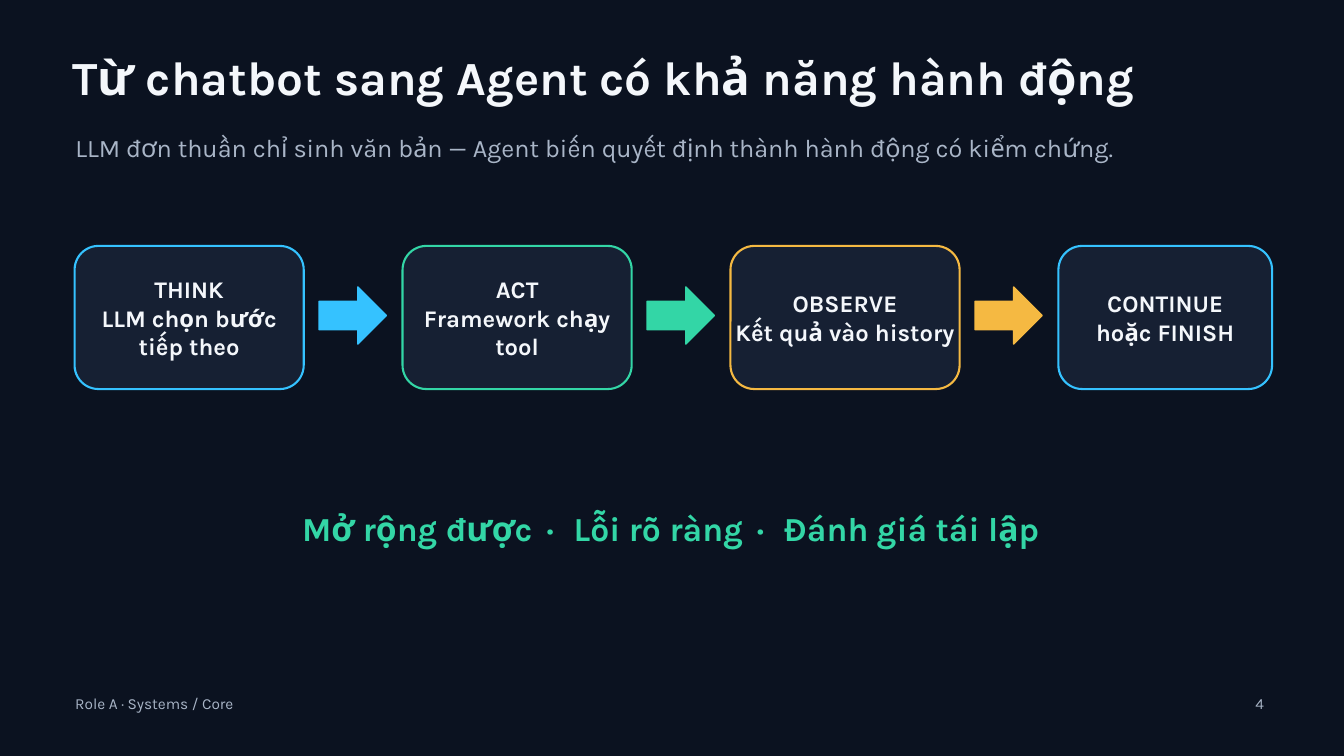
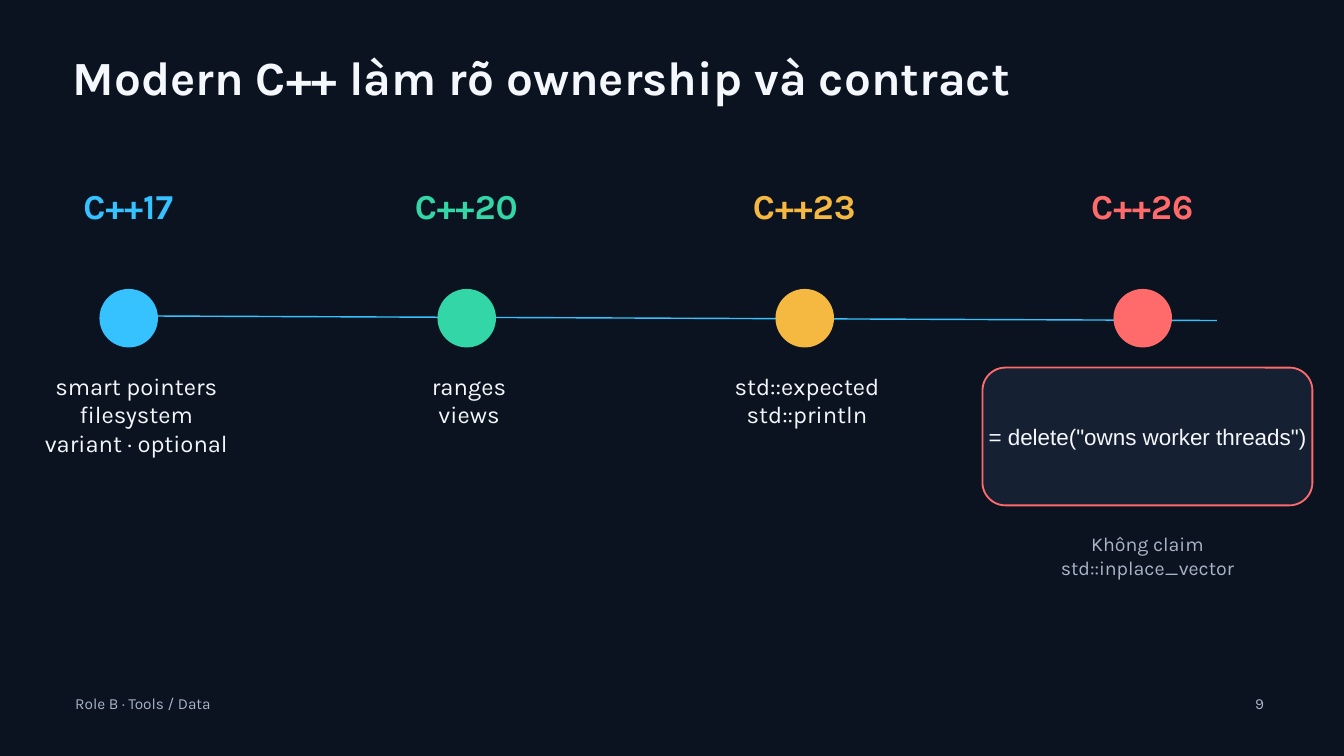
"""Build two slides on the agent loop and modern C++ milestones."""

import dataclasses

import lxml.etree
import pptx
import pptx.dml.color
import pptx.enum.shapes
import pptx.enum.text
import pptx.oxml.ns
import pptx.presentation
import pptx.shapes.autoshape
import pptx.slide
import pptx.util

Inches = pptx.util.Inches
Pt = pptx.util.Pt
Shape = pptx.enum.shapes.MSO_SHAPE
Align = pptx.enum.text.PP_ALIGN
Anchor = pptx.enum.text.MSO_ANCHOR

COLORS = {
    "background": "0B1220",
    "panel": "162033",
    "text": "F4F7FB",
    "muted": "A9B5C7",
    "blue": "35C2FF",
    "green": "33D6A6",
    "amber": "F5B942",
    "red": "FF6B6B",
}


@dataclasses.dataclass(frozen=True)
class Area:
    left: float
    top: float
    width: float
    height: float


@dataclasses.dataclass(frozen=True)
class TextStyle:
    size: float
    leading: float
    color: str = "text"
    bold: bool = False
    align: Align = Align.LEFT
    font: str = "Karla"


@dataclasses.dataclass(frozen=True)
class Step:
    lines: tuple[str, ...]
    color: str
    width: float = 3.41


@dataclasses.dataclass(frozen=True)
class Milestone:
    name: str
    color: str
    features: tuple[str, ...] = ()
    features_shift: float = -0.94


TITLE = TextStyle(51, 61.2, bold=True)
SUBTITLE = TextStyle(27, 32.4, "muted")
FOOTER = TextStyle(16.5, 19.8, "muted")
PAGE_NUMBER = dataclasses.replace(FOOTER, align=Align.RIGHT)
FEATURES = TextStyle(25.5, 30.6, align=Align.CENTER)
STEP = dataclasses.replace(FEATURES, bold=True)
BENEFITS = TextStyle(36, 43.2, "green", True, Align.CENTER)
MILESTONE = TextStyle(37.5, 45, bold=True, align=Align.CENTER)
CODE = TextStyle(24, 28.8, align=Align.CENTER, font="Arial")
NOTE = TextStyle(21, 25.2, "muted", align=Align.CENTER)

STEPS = (
    Step(("THINK", "LLM chọn bước tiếp theo"), "blue"),
    Step(("ACT", "Framework chạy tool"), "green"),
    Step(("OBSERVE", "Kết quả vào history"), "amber"),
    Step(("CONTINUE", "hoặc FINISH"), "blue", 3.18),
)
MILESTONES = (
    Milestone("C++17", "blue", ("smart pointers", "filesystem", "variant · optional"), -0.86),
    Milestone("C++20", "green", ("ranges", "views")),
    Milestone("C++23", "amber", ("std::expected", "std::println")),
    Milestone("C++26", "red"),
)
STEP_PITCH = 4.88
ARROW_GAP = 0.23
MILESTONE_PITCH = 5.03
SEPARATOR = " · "
SEPARATOR_SPACING = 600


def rgb(name: str) -> pptx.dml.color.RGBColor:
    """Return the named colour."""
    return pptx.dml.color.RGBColor.from_string(COLORS[name])


def place(area: Area) -> tuple[pptx.util.Length, ...]:
    """Turn an area into lengths."""
    return tuple(Inches(value) for value in dataclasses.astuple(area))


def add_text(
    slide: pptx.slide.Slide,
    area: Area,
    lines: tuple[tuple[str, ...], ...],
    style: TextStyle,
    inset: float = 0,
    centered: bool = False,
) -> pptx.shapes.autoshape.Shape:
    """Add a text box whose lines are tuples of runs."""
    box = slide.shapes.add_textbox(*place(area))
    frame = box.text_frame
    frame.word_wrap = True
    frame.margin_left = frame.margin_right = Inches(inset)
    frame.margin_top = frame.margin_bottom = Inches(inset)
    frame.vertical_anchor = Anchor.MIDDLE if centered else Anchor.TOP
    for index, runs in enumerate(lines):
        para = frame.add_paragraph() if index else frame.paragraphs[0]
        para.alignment = style.align
        para.line_spacing = Pt(style.leading)
        for text in runs:
            span = para.add_run()
            span.text = text
            span.font.name = style.font
            span.font.size = Pt(style.size)
            span.font.bold = style.bold
            span.font.color.rgb = rgb(style.color)
    return box


def add_solid(
    slide: pptx.slide.Slide,
    kind: Shape,
    area: Area,
    fill: str,
    line: str,
    weight: float = 1.5,
) -> None:
    """Add a filled and outlined preset shape."""
    shape = slide.shapes.add_shape(kind, *place(area))
    shape.shadow.inherit = False
    shape.fill.solid()
    shape.fill.fore_color.rgb = rgb(fill)
    shape.line.color.rgb = rgb(line)
    shape.line.width = Pt(weight)


def add_card(
    slide: pptx.slide.Slide,
    area: Area,
    lines: tuple[str, ...],
    style: TextStyle,
    color: str,
    weight: float,
) -> None:
    """Add a rounded panel with text across its full width."""
    add_solid(slide, Shape.ROUNDED_RECTANGLE, area, "panel", color, weight)
    add_text(slide, area, tuple((line,) for line in lines), style, 0.06, True)


def add_base(
    deck: pptx.presentation.Presentation, title: str, role: str, number: int
) -> pptx.slide.Slide:
    """Add a slide with the shared background, title and footer."""
    slide = deck.slides.add_slide(deck.slide_layouts[6])
    slide.background.fill.solid()
    slide.background.fill.fore_color.rgb = rgb("background")
    add_text(slide, Area(1.08, 0.72, 17.66, 1.04), ((title,),), TITLE)
    add_text(slide, Area(1.12, 10.33, 4.9, 0.35), ((role,),), FOOTER)
    add_text(slide, Area(18.26, 10.33, 0.55, 0.35), ((str(number),),), PAGE_NUMBER)
    return slide


def add_agent_slide(deck: pptx.presentation.Presentation) -> None:
    """Add the slide with the four steps of the agent loop."""
    slide = add_base(
        deck, "Từ chatbot sang Agent có khả năng hành động", "Role A · Systems / Core", 4
    )
    subtitle = "LLM đơn thuần chỉ sinh văn bản — Agent biến quyết định thành hành động có kiểm chứng."
    add_text(slide, Area(1.12, 1.97, 16.61, 0.62), ((subtitle,),), SUBTITLE)
    for index, step in enumerate(STEPS):
        left = 1.11 + index * STEP_PITCH
        card = Area(left, 3.66, step.width, 2.13)
        add_card(slide, card, step.lines, STEP, step.color, 2.25)
        if index < len(STEPS) - 1:
            arrow = Area(left + step.width + ARROW_GAP, 4.27, 1, 0.85)
            add_solid(slide, Shape.RIGHT_ARROW, arrow, step.color, step.color)
    benefits = ("Mở rộng được", SEPARATOR, "Lỗi rõ ràng", SEPARATOR, "Đánh giá tái lập")
    box = add_text(slide, Area(3.4, 7.56, 13.16, 0.88), (benefits,), BENEFITS)
    for span in box.text_frame.paragraphs[0].runs:
        if span.text == SEPARATOR:
            span._r.get_or_add_rPr().set("spc", str(SEPARATOR_SPACING))


def add_timeline_slide(deck: pptx.presentation.Presentation) -> None:
    """Add the slide with the C++ timeline."""
    slide = add_base(deck, "Modern C++ làm rõ ownership và contract", "Role B · Tools / Data", 9)
    axis = slide.shapes.add_connector(
        pptx.enum.shapes.MSO_CONNECTOR.STRAIGHT,
        Inches(1.71), Inches(4.7), Inches(18.11), Inches(4.77),
    )
    axis.line.color.rgb = rgb("blue")
    axis.line.width = Pt(1.5)
    lxml.etree.SubElement(axis._element.spPr, pptx.oxml.ns.qn("a:effectLst"))
    for index, milestone in enumerate(MILESTONES):
        left = 1.49 + index * MILESTONE_PITCH
        color = milestone.color
        add_solid(slide, Shape.OVAL, Area(left, 4.31, 0.85, 0.85), color, color)
        style = dataclasses.replace(MILESTONE, color=color)
        add_text(slide, Area(left - 0.42, 2.75, 1.68, 0.65), ((milestone.name,),), style)
        if milestone.features:
            area = Area(left + milestone.features_shift, 5.53, 2.8, 1.55)
            add_text(slide, area, tuple((line,) for line in milestone.features), FEATURES)
    code = ('= delete("owns worker threads")',)
    add_card(slide, Area(14.62, 5.47, 4.91, 2.05), code, CODE, "red", 1.95)
    note = "Không claim std::inplace_vector"
    add_text(slide, Area(14.96, 7.92, 4.23, 0.48), ((note,),), NOTE)


def main() -> None:
    """Build and save the deck."""
    deck = pptx.Presentation()
    deck.slide_width = Inches(20)
    deck.slide_height = Inches(11.25)
    add_agent_slide(deck)
    add_timeline_slide(deck)
    deck.save("out.pptx")


if __name__ == "__main__":
    main()
